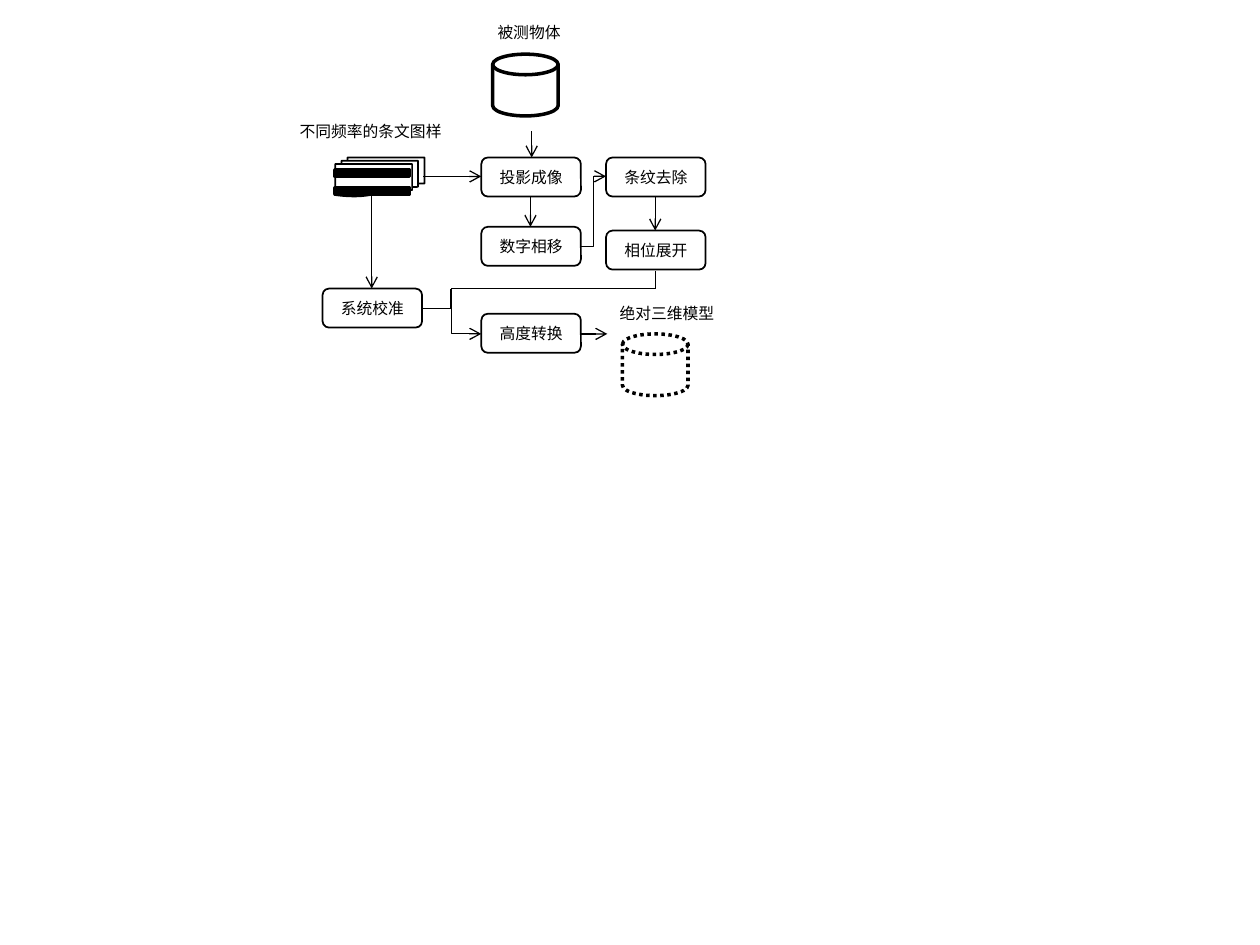
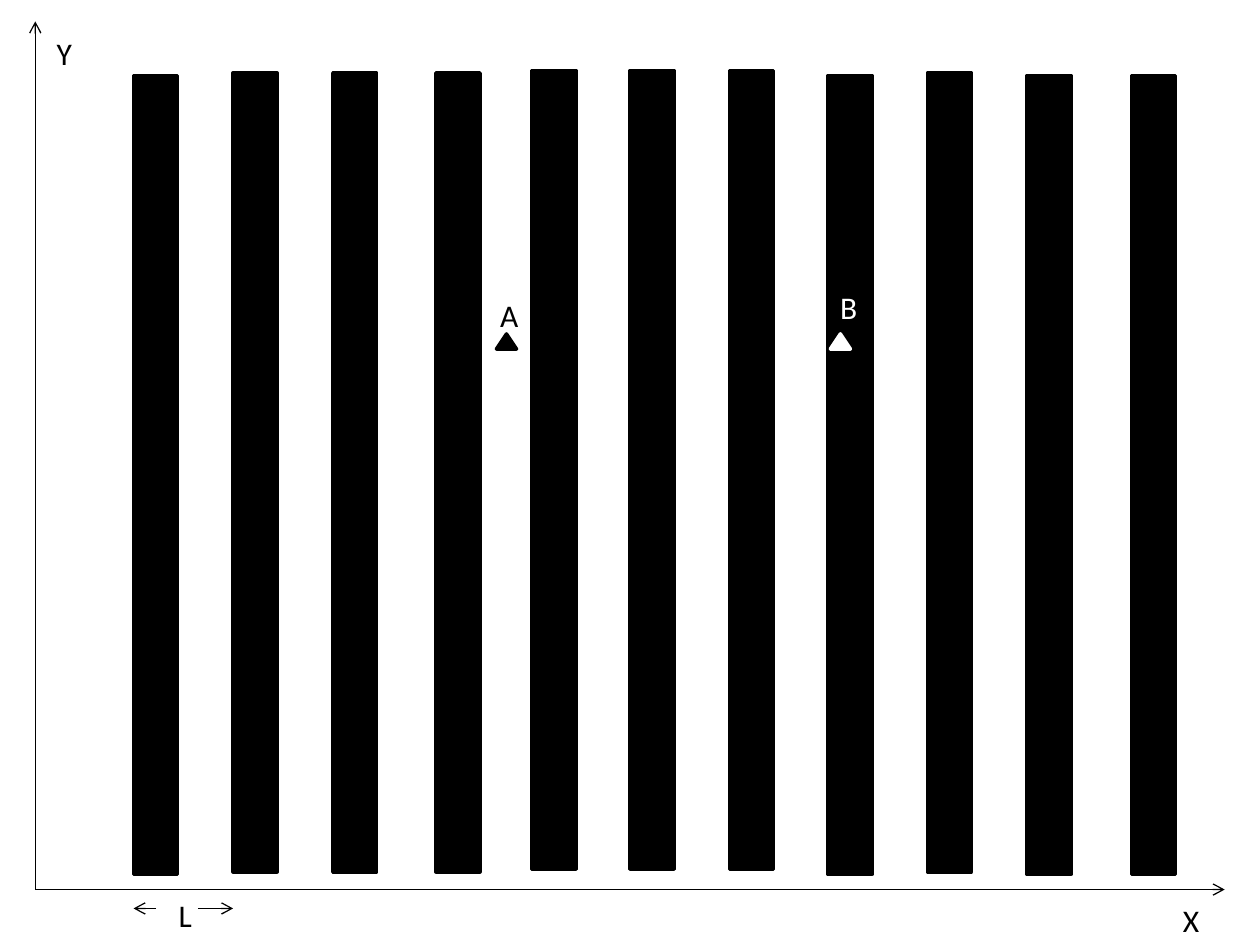
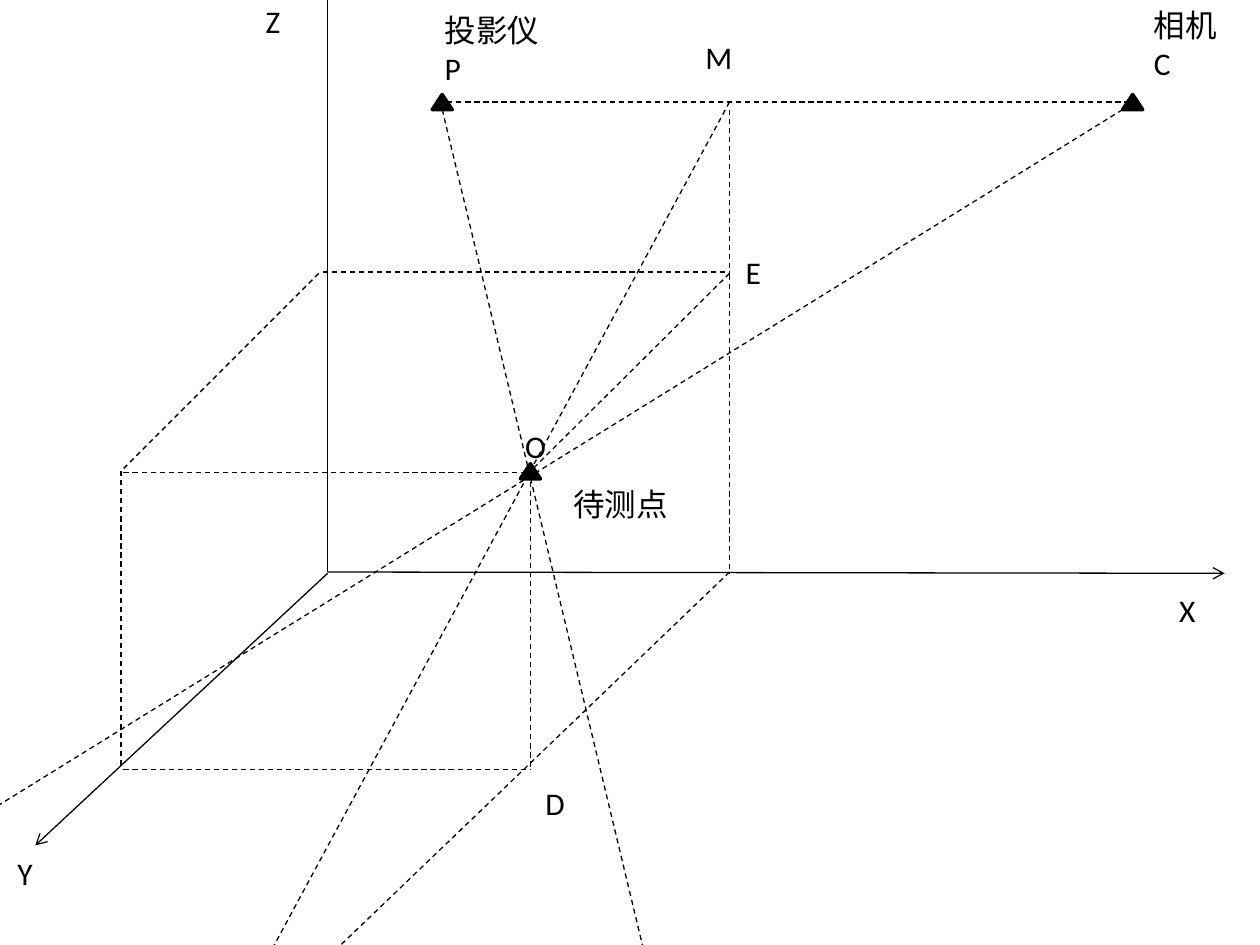
import pptx
import pptx.dml.color
import pptx.enum.dml
import pptx.enum.shapes
import pptx.enum.text
import pptx.oxml.ns
import pptx.util
from lxml import etree
from pptx.util import Inches

BLACK = "000000"
WHITE = "FFFFFF"
FONT = "Calibri"
Preset = pptx.enum.shapes.MSO_SHAPE
Dash = pptx.enum.dml.MSO_LINE
Connector = pptx.enum.shapes.MSO_CONNECTOR
rgb = pptx.dml.color.RGBColor.from_string


def add_shape(slide, preset, left, top, width, height, fill=WHITE, line=BLACK, weight=2.0):
    shape = slide.shapes.add_shape(preset, Inches(left), Inches(top), Inches(width), Inches(height))
    shape.shadow.inherit = False
    if fill:
        shape.fill.solid()
        shape.fill.fore_color.rgb = rgb(fill)
    else:
        shape.fill.background()
    shape.line.color.rgb = rgb(line)
    shape.line.width = pptx.util.Pt(weight)
    return shape


def add_line(slide, start, end, arrow=False, dashed=False, kind=Connector.STRAIGHT):
    connector = slide.shapes.add_connector(kind, *[Inches(value) for value in (*start, *end)])
    connector.line.color.rgb = rgb(BLACK)
    connector.line.width = pptx.util.Pt(0.75)
    if dashed:
        connector.line.dash_style = Dash.DASH
    if arrow:
        tail = etree.SubElement(connector.line._get_or_add_ln(), pptx.oxml.ns.qn("a:tailEnd"))
        tail.set("type", "arrow")
    etree.SubElement(connector._element.spPr, pptx.oxml.ns.qn("a:effectLst"))


presentation = pptx.Presentation()
presentation.slide_width = Inches(10)
presentation.slide_height = Inches(7.5)
flow_slide, stripe_slide, geometry_slide = [
    presentation.slides.add_slide(presentation.slide_layouts[6]) for _ in range(3)
]

steps = [
    ("系统校准", 2.56, 2.29),
    ("投影成像", 3.82, 1.25),
    ("数字相移", 3.82, 1.8),
    ("条纹去除", 4.81, 1.25),
    ("相位展开", 4.81, 1.83),
    ("高度转换", 3.82, 2.49),
]
for text, left, top in steps:
    step = add_shape(flow_slide, Preset.FLOWCHART_ALTERNATE_PROCESS, left, top, 0.79, 0.31, weight=1)
    step.text_frame.text = text
    step.text_frame.vertical_anchor = pptx.enum.text.MSO_ANCHOR.MIDDLE
    paragraph = step.text_frame.paragraphs[0]
    paragraph.alignment = pptx.enum.text.PP_ALIGN.CENTER
    paragraph.font.size = pptx.util.Pt(9)
    paragraph.font.name = FONT
    paragraph.font.color.rgb = rgb(BLACK)

add_shape(flow_slide, Preset.FLOWCHART_MULTIDOCUMENT, 2.66, 1.25, 0.71, 0.31, fill=None, weight=1)
for top in (1.35, 1.49):
    add_shape(flow_slide, Preset.RECTANGLE, 2.66, top, 0.59, 0.05, fill=BLACK)
add_shape(flow_slide, Preset.FLOWCHART_MAGNETIC_DISK, 3.91, 0.43, 0.52, 0.49)
model = add_shape(flow_slide, Preset.FLOWCHART_MAGNETIC_DISK, 4.94, 2.65, 0.52, 0.49)
model.line.dash_style = Dash.ROUND_DOT

flow_arrows = [
    ((3.36, 1.4), (3.82, 1.4)),
    ((2.95, 1.54), (2.95, 2.29)),
    ((4.21, 1.56), (4.21, 1.8)),
    ((5.2, 1.56), (5.2, 1.83)),
    ((4.61, 2.65), (4.82, 2.65)),
    ((4.22, 1.04), (4.22, 1.25)),
]
for start, end in flow_arrows:
    add_line(flow_slide, start, end, arrow=True)
for start, end in [((3.35, 2.45), (3.82, 2.65)), ((4.61, 1.96), (4.71 + 0.1, 1.4))]:
    add_line(flow_slide, start, end, arrow=True, kind=Connector.ELBOW)
merge_points = [(5.2, 2.15), (5.2, 2.29), (3.58, 2.29), (3.58, 2.45)]
for start, end in zip(merge_points, merge_points[1:]):
    add_line(flow_slide, start, end)

stripes = [
    (1.06, 0.6), (1.85, 0.58), (2.64, 0.58), (3.46, 0.58), (4.22, 0.56), (5, 0.56),
    (5.79, 0.56), (6.57, 0.6), (7.36, 0.58), (8.15, 0.6), (8.98, 0.6),
]
for left, top in stripes:
    add_shape(stripe_slide, Preset.RECTANGLE, left, top, 0.35, 6.34, fill=BLACK)
stripe_arrows = [
    ((1.24, 7.21), (1.06, 7.21)),
    ((1.57, 7.21), (1.85, 7.21)),
    ((0.28, 7.06), (9.72, 7.06)),
    ((0.28, 7.06), (0.28, 0.17)),
]
for start, end in stripe_arrows:
    add_line(stripe_slide, start, end, arrow=True)

axes = [
    ((2.6, 4.54), (2.6, -0.19)),
    ((2.6, 4.54), (9.72, 4.55)),
    ((2.6, 4.55), (0.28, 6.71)),
]
for start, end in axes:
    add_line(geometry_slide, start, end, arrow=True)
construction_lines = [
    ((5.79, 4.54), (1.61, 8.55)),
    ((0.98, 6.11), (4.21, 6.11)),
    ((4.21, 3.75), (4.21, 6.11)),
    ((0.98, 3.75), (4.21, 3.75)),
    ((5.79, 2.18), (5.79, 4.55)),
    ((5.79, 2.17), (4.21, 3.74)),
    ((0.96, 3.74), (0.96, 6.1)),
    ((2.53, 2.17), (0.96, 3.74)),
    ((2.56, 2.16), (5.79, 2.16)),
    ((3.51, 0.87), (5.35, 8.55)),
    ((8.91, 0.87), (-3.5, 8.55)),
    ((5.79, 0.87), (5.79, 2.18)),
    ((3.55, 0.81), (9.03, 0.81)),
    ((5.79, 0.81), (1.61, 8.55)),
]
for start, end in construction_lines:
    add_line(geometry_slide, start, end, dashed=True)

markers = [
    (stripe_slide, 3.94, 2.65, BLACK),
    (stripe_slide, 6.59, 2.65, WHITE),
    (geometry_slide, 4.13, 3.68, BLACK),
    (geometry_slide, 3.43, 0.75, BLACK),
    (geometry_slide, 8.91, 0.75, BLACK),
]
for slide, left, top, color in markers:
    add_shape(slide, Preset.ISOSCELES_TRIANGLE, left, top, 0.16, 0.12, fill=color, line=color)

labels = [
    (flow_slide, "不同频率的条文图样", 2.28, 0.92, 1.46, 0.25, True),
    (flow_slide, "被测物体", 3.85, 0.13, 0.79, 0.25, True),
    (flow_slide, "绝对三维模型", 4.82, 2.36, 1.04, 0.25, True),
    (stripe_slide, "L", 1.32, 7.06, 0.31, 0.4, False),
    (stripe_slide, "A", 3.87, 2.3, 0.35, 0.4, False),
    (stripe_slide, "B", 6.57, 2.24, 0.34, 0.4, False),
    (stripe_slide, "X", 9.29, 7.1, 0.51, 0.4, True),
    (stripe_slide, "Y", 0.35, 0.22, 0.51, 0.4, True),
    (geometry_slide, "O", 4.07, 3.34, 0.37, 0.4, False),
    (geometry_slide, "投影仪 P", 3.43, 0.04, 1.02, 0.71, True),
    (geometry_slide, "相机\nC", 9.06, 0, 1.02, 0.71, True),
    (geometry_slide, "待测点", 4.45, 3.8, 2.72, 0.4, True),
    (geometry_slide, "M", 5.5, 0.25, 0.44, 0.4, True),
    (geometry_slide, "X", 9.26, 4.64, 0.44, 0.4, True),
    (geometry_slide, "Y", 0.04, 6.73, 0.44, 0.4, True),
    (geometry_slide, "Z", 2.01, -0.03, 0.44, 0.4, True),
    (geometry_slide, "D", 4.23, 6.17, 0.36, 0.4, False),
    (geometry_slide, "E", 5.82, 1.96, 0.32, 0.4, False),
]
for slide, text, left, top, width, height, wrap in labels:
    label = slide.shapes.add_textbox(Inches(left), Inches(top), Inches(width), Inches(height))
    label.text_frame.text = text
    label.text_frame.word_wrap = wrap
    label.text_frame.auto_size = pptx.enum.text.MSO_AUTO_SIZE.SHAPE_TO_FIT_TEXT
    for paragraph in label.text_frame.paragraphs:
        for run in paragraph.runs:
            run.font.name = FONT
            run.font.size = pptx.util.Pt(9 if slide is flow_slide else 18)
            run.font.color.rgb = rgb(WHITE if text == "B" else BLACK)

presentation.save("out.pptx")
